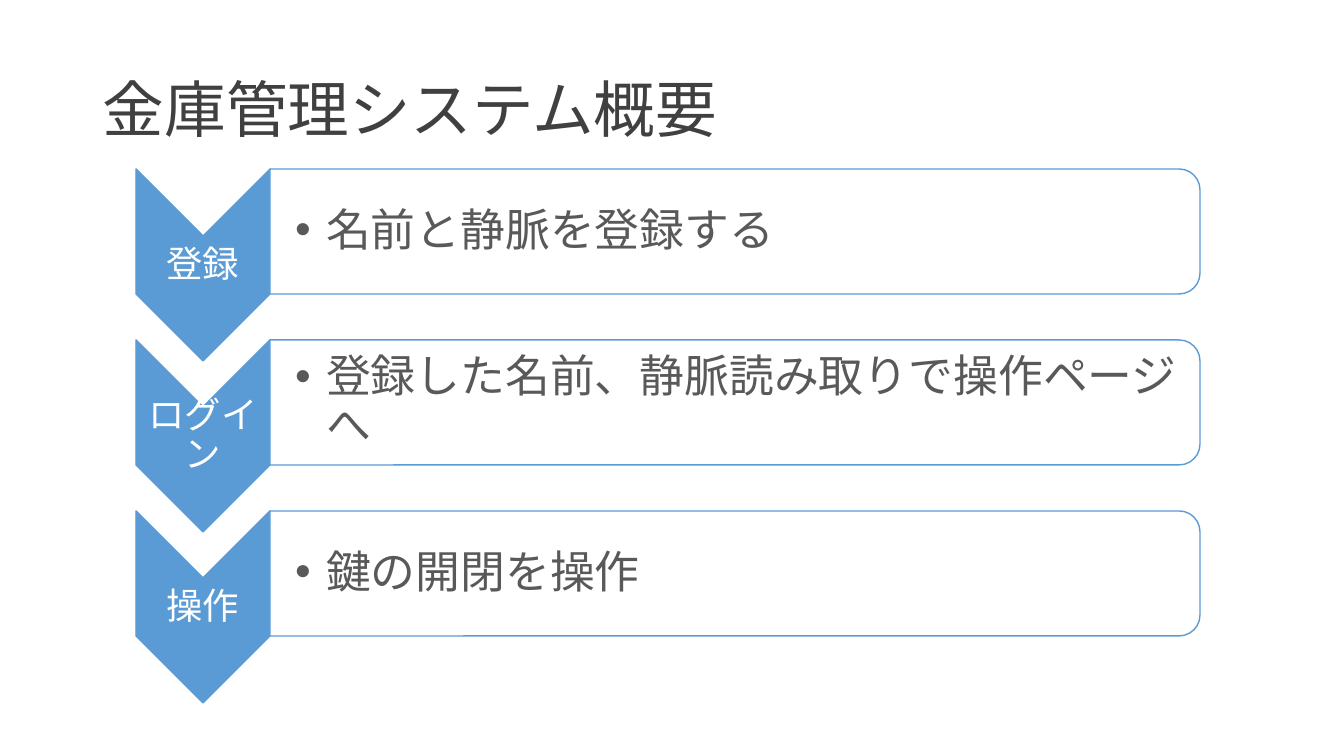
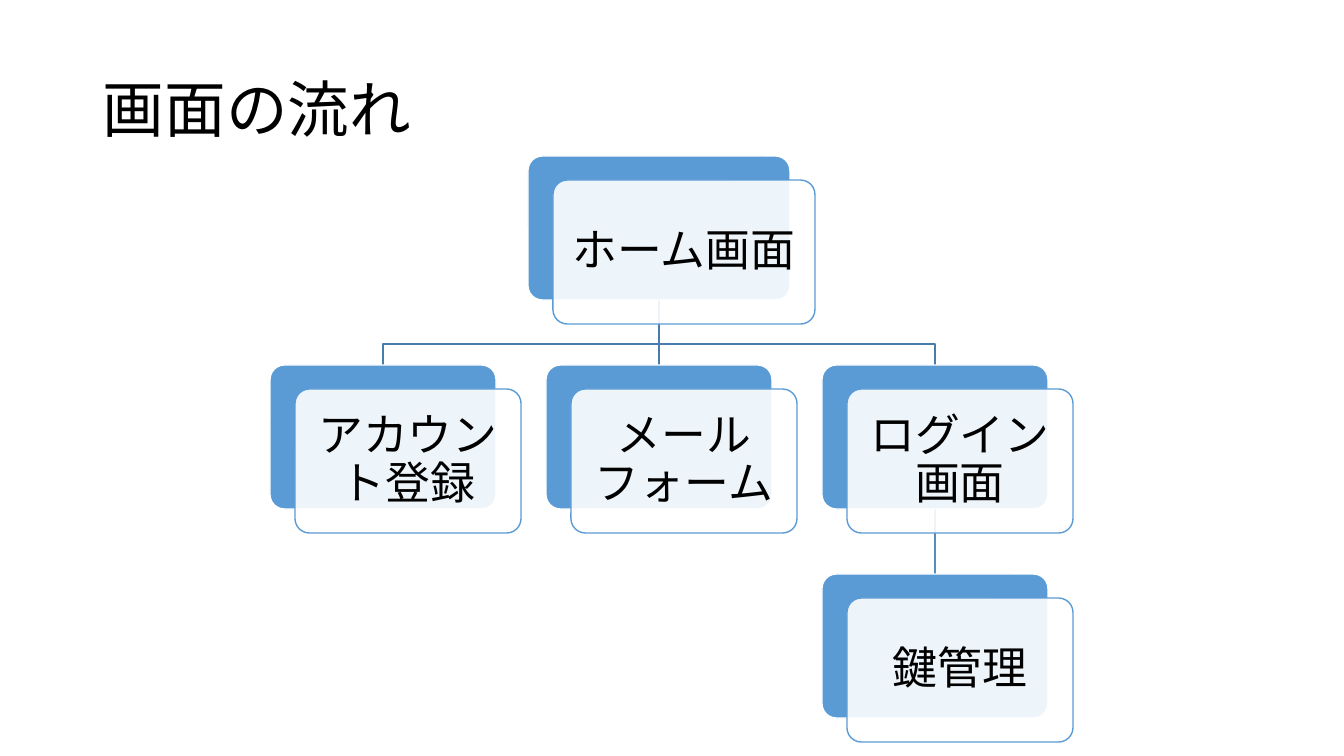
from dataclasses import dataclass

from lxml import etree
from pptx import Presentation
from pptx import util as u
from pptx.dml import color
from pptx.enum import lang, shapes, text
from pptx.oxml import ns

PX = 914400 / 100.8


@dataclass(frozen=True)
class Theme:
    """Colours, fonts and type sizes that the slides share."""
    blue: str = "5B9BD5"
    white: str = "FFFFFF"
    black: str = "000000"
    heading: str = "404040"
    body: str = "595959"
    trunk: str = "497CAB"
    branch: str = "538DC1"
    asian: str = "Noto Sans CJK JP"
    latin: str = "Calibri"
    title_size: int = 44
    body_size: int = 32
    step_size: int = 26
    veil: int = 90


THEME = Theme()
TITLE_BOX = (93, 40, 1159, 146)


def emu(*lengths):
    """Turn pixels into EMU."""
    return [u.Emu(round(length * PX)) for length in lengths]


def assign(target, values):
    """Set attributes from a dict of format values."""
    for name, value in values.items():
        setattr(target, name, value)


def stroke(line, tint):
    """Give a line its colour and the common width."""
    line.color.rgb = color.RGBColor.from_string(tint)
    line.width = u.Pt(1)


def add_form(page, kind, box, fill, edge, alpha=100, turned=False):
    """Add a preset shape that covers the box, on its side if turned."""
    left, top, width, height = box
    if turned:
        shift = (width - height) / 2
        left, top, width, height = left + shift, top - shift, height, width
    form = page.shapes.add_shape(kind, *emu(left, top, width, height))
    form.shadow.inherit = False
    form.rotation = 90 if turned else 0
    form.fill.solid()
    form.fill.fore_color.rgb = color.RGBColor.from_string(fill)
    if alpha < 100:
        tone = form.fill._xPr.find(".//" + ns.qn("a:srgbClr"))
        etree.SubElement(tone, ns.qn("a:alpha"), val=str(alpha * 1000))
    stroke(form.line, edge)
    return form


def write(frame, words, size, tint, font=THEME.asian, align=text.PP_ALIGN.CENTER,
          insets=(2, 2, 2, 2)):
    """Write one paragraph into a text frame and return it."""
    sides = ("margin_left", "margin_top", "margin_right", "margin_bottom")
    assign(frame, dict(zip(sides, emu(*insets)), word_wrap=True,
                       vertical_anchor=text.MSO_ANCHOR.MIDDLE))
    para = frame.paragraphs[0]
    assign(para, {"alignment": align, "line_spacing": 0.9})
    span = para.add_run()
    span.text = words
    assign(span.font, {"size": u.Pt(size), "name": font,
                       "language_id": lang.MSO_LANGUAGE_ID.JAPANESE})
    span.font.color.rgb = color.RGBColor.from_string(tint)
    etree.SubElement(span.font._element, ns.qn("a:ea"), typeface=THEME.asian)
    return para


def add_text(page, box, words, size, tint, **style):
    """Add a text box and return its paragraph."""
    frame = page.shapes.add_textbox(*emu(*box)).text_frame
    return write(frame, words, size, tint, **style)


def add_page(deck, title, tint, font):
    """Add a blank page with the shared title."""
    page = deck.slides.add_slide(deck.slide_layouts[6])
    add_text(page, TITLE_BOX, title, THEME.title_size, tint, font=font,
             align=text.PP_ALIGN.LEFT, insets=(10, 5, 10, 5))
    return page


def add_bullet(para, indent):
    """Give a paragraph a round bullet and a hanging indent."""
    props = para._p.get_or_add_pPr()
    margin = emu(indent)[0]
    props.set("marL", str(margin))
    props.set("indent", str(-margin))
    etree.SubElement(props, ns.qn("a:buFont"), typeface="Arial")
    etree.SubElement(props, ns.qn("a:buChar"), char="•")


def add_step(page, box, name, detail):
    """Place a downward chevron and the panel to its right."""
    left, top, width, height = box
    arrow = 134
    panel = left + arrow
    preset = shapes.MSO_SHAPE
    add_form(page, preset.CHEVRON, (left, top, arrow, height),
             THEME.blue, THEME.blue, turned=True)
    add_text(page, (left, top + 68, arrow, 57), name, THEME.step_size, THEME.white)
    add_form(page, preset.ROUND_2_SAME_RECTANGLE, (panel, top, width - arrow, 125),
             THEME.white, THEME.blue, THEME.veil, turned=True)
    para = add_text(page, (panel, top + 6, width - arrow - 6, 113), detail,
                    THEME.body_size, THEME.body, align=text.PP_ALIGN.LEFT,
                    insets=(25, 2, 2, 2))
    add_bullet(para, 31)


def add_card(page, box, words):
    """Place a blue card with a labelled pale card in front of it."""
    left, top, width, height = box
    kind = shapes.MSO_SHAPE.ROUNDED_RECTANGLE
    back = add_form(page, kind, box, THEME.blue, THEME.white)
    front = add_form(page, kind, (left + 25, top + 24, width, height),
                     THEME.white, THEME.blue, THEME.veil)
    for card in (back, front):
        card.adjustments[0] = 0.1
    write(front.text_frame, words, THEME.body_size, THEME.black,
          font=THEME.latin, insets=(13, 13, 13, 13))


def add_link(page, parent, child, tint):
    """Join the foot of a parent box to the head of a child box."""
    start, foot = parent[0] + parent[2] / 2, parent[1] + parent[3]
    end, head = child[0] + child[2] / 2, child[1]
    if start == end:
        link = page.shapes.add_connector(shapes.MSO_CONNECTOR.STRAIGHT,
                                         *emu(start, foot, end, head))
        etree.SubElement(link._element.spPr, ns.qn("a:effectLst"))
    else:
        bend = head - 21
        path = page.shapes.build_freeform(start, foot, scale=PX)
        path.add_line_segments([(start, bend), (end, bend), (end, head)], close=False)
        link = path.convert_to_shape()
        link.fill.background()
        link.shadow.inherit = False
    stroke(link.line, tint)


def build_overview(deck):
    """Build the overview page with its column of steps."""
    page = add_page(deck, "金庫管理システム概要", THEME.heading, THEME.asian)
    steps = [("登録", "名前と静脈を登録する"),
             ("ログイン", "登録した名前、静脈読み取りで操作ページへ"),
             ("操作", "鍵の開閉を操作")]
    for row, (name, detail) in enumerate(steps):
        add_step(page, (136, 169 + 171 * row, 1064, 192), name, detail)


def build_flow(deck):
    """Build the page with the tree of screens."""
    page = add_page(deck, "画面の流れ", THEME.black, THEME.latin)
    width, height, across, down = 226, 144, 276, 209
    left, top = 270, 156
    children = [(left + across * column, top + down, width, height)
                for column in range(3)]
    account, mail, login = children
    home_width = 262
    home = (mail[0] - (home_width - width) / 2, top, home_width, height)
    keys = (login[0], top + 2 * down, width, height)
    add_link(page, login, keys, THEME.branch)
    for child in reversed(children):
        add_link(page, home, child, THEME.trunk)
    cards = [(home, "ホーム画面"), (account, "アカウント登録"),
             (mail, "メールフォーム"), (login, "ログイン画面"), (keys, "鍵管理")]
    for box, words in cards:
        add_card(page, box, words)


def main():
    """Build and save the deck."""
    deck = Presentation()
    deck.slide_width, deck.slide_height = emu(1344, 756)
    build_overview(deck)
    build_flow(deck)
    deck.save("out.pptx")


main()
